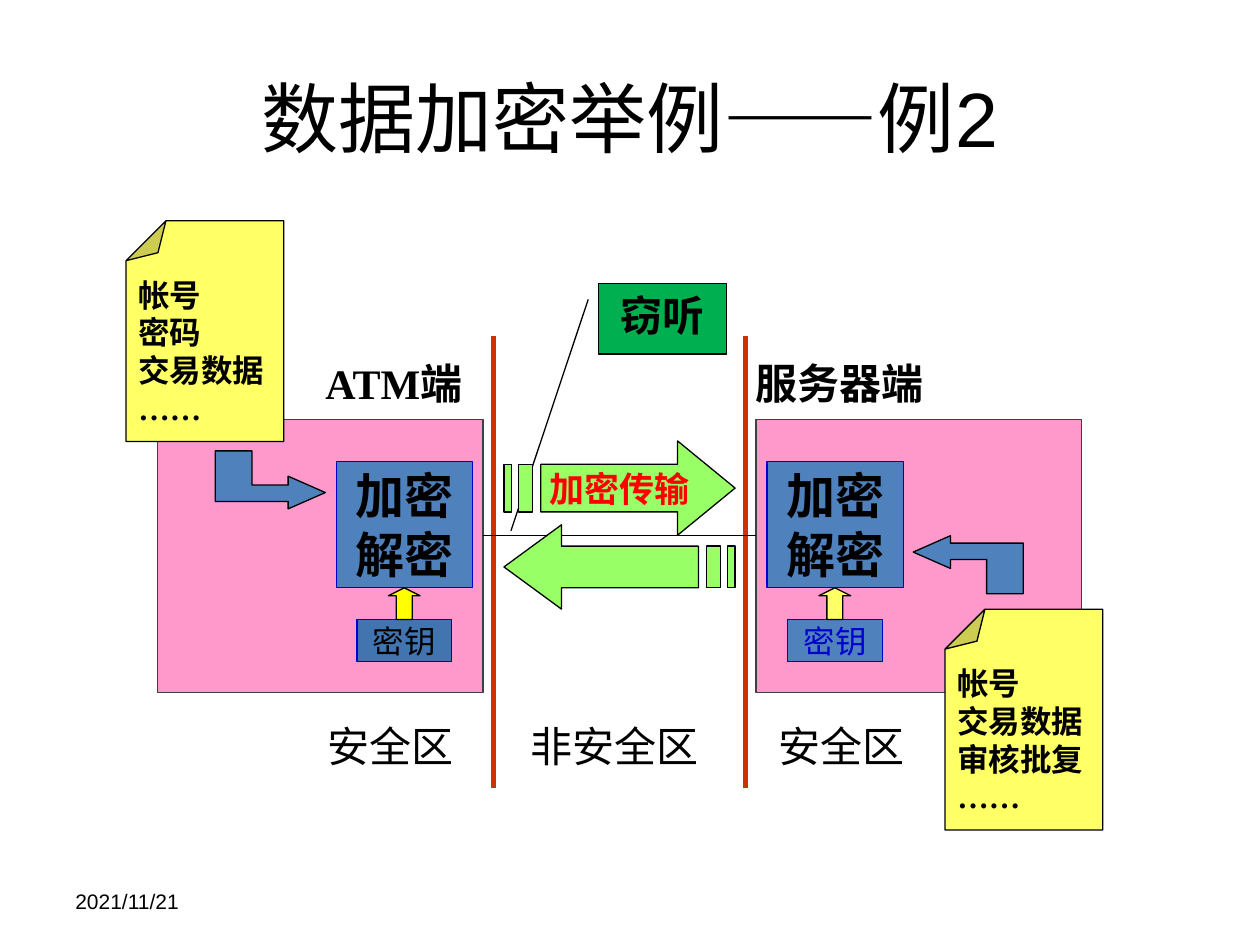
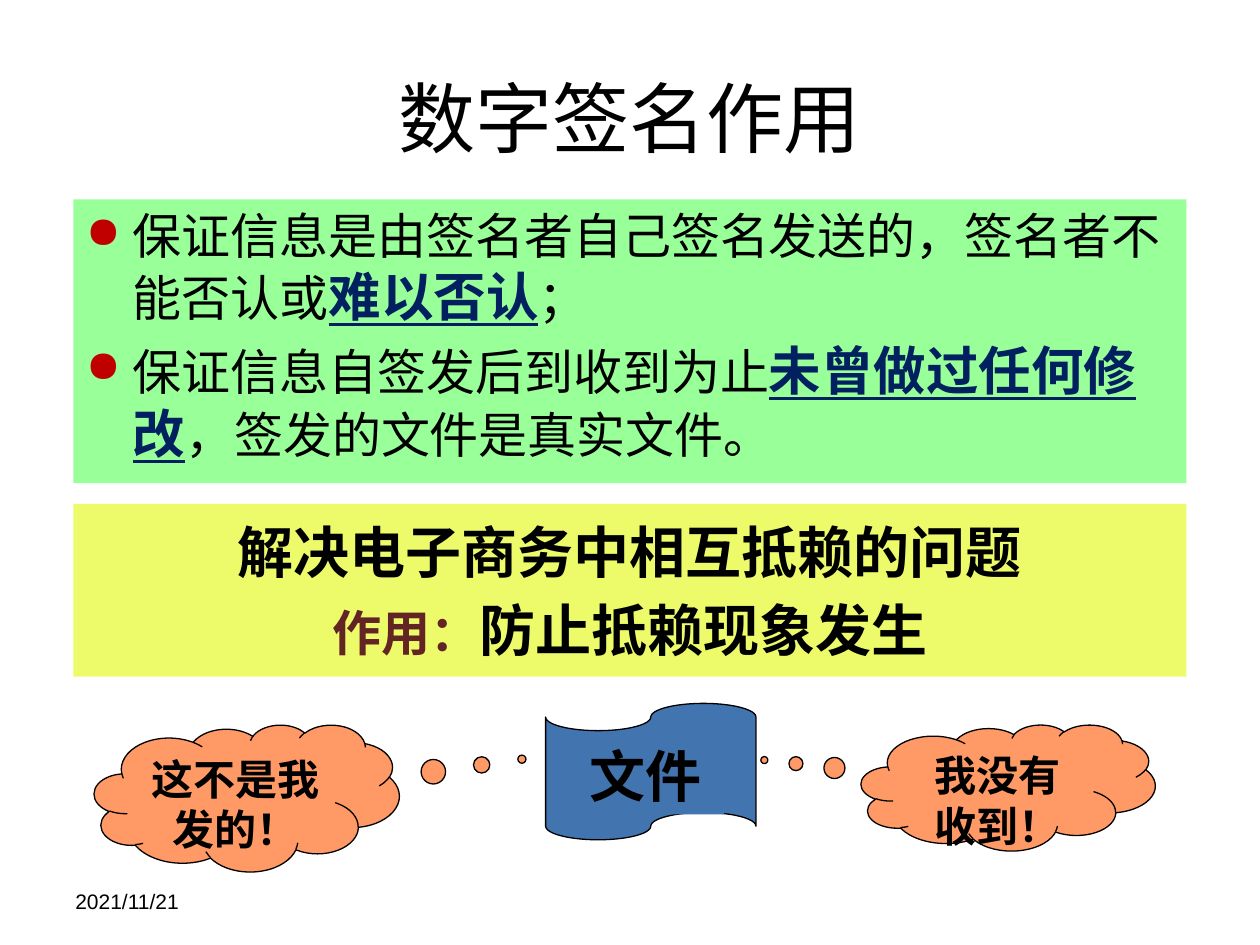
from dataclasses import dataclass
from typing import Optional

import lxml.etree
import pptx
import pptx.dml.color
import pptx.enum.shapes
import pptx.enum.text
import pptx.oxml.ns
import pptx.util

Cm = pptx.util.Cm
Pt = pptx.util.Pt
Preset = pptx.enum.shapes.MSO_SHAPE
Align = pptx.enum.text.PP_ALIGN
Anchor = pptx.enum.text.MSO_ANCHOR
qn = pptx.oxml.ns.qn

BLACK, BLUE, NAVY, RED = "000000", "0000CC", "002060", "FF0000"
STEEL, DARK_STEEL = "4F81BD", "4274AF"
PINK, GREY, PAPER, LIME, ORANGE = "FF99CC", "404040", "FFFF66", "99FF66", "FF9966"
SERIF, SANS, BODY, CJK = "Times New Roman", "Arial", "Calibri", "Noto Sans CJK SC"

# Outlines in centimetres from the tail of each arrow
BENT_ARROW = [(0, 0), (0.74, 0), (0.74, 0.69), (1.47, 0.69), (1.47, 0.51),
              (2.22, 0.84), (1.47, 1.17), (1.47, 1.02), (0, 1.02)]
STRIPES = [(0, 0.15), (0.29, 0.58)]
SHAFT_START, HEAD_START, ARROW_TIP = 0.74, 3.5, 4.66


@dataclass(frozen=True)
class Area:
    left: float
    top: float
    width: float
    height: float

    def moved(self, right: float) -> "Area":
        return Area(self.left + right, self.top, self.width, self.height)


@dataclass(frozen=True)
class Span:
    text: str
    size: float
    font: str = SERIF
    color: str = BLACK
    bold: bool = False
    underline: bool = False


@dataclass(frozen=True)
class TextStyle:
    align: Align = Align.LEFT
    anchor: Anchor = Anchor.TOP
    wrap: bool = True
    inset: bool = True
    space_before: float = 0
    bullet: Optional[str] = None


CENTERED = TextStyle(Align.CENTER, Anchor.MIDDLE, wrap=False)
TOP_CENTERED = TextStyle(Align.CENTER)
LABEL = TextStyle(inset=False)


@dataclass(frozen=True)
class Side:
    """One end of the encrypted channel."""
    zone_shift: float
    shift: float
    key_fill: str
    key_color: str
    arrow_fill: str
    label: str
    label_area: Area


SIDES = [
    Side(0, 0, DARK_STEEL, BLACK, "FFFF00", "ATM端", Area(6.56, 7.2, 3.18, 1.02)),
    Side(12.06, 8.68, STEEL, BLUE, PAPER, "服务器端", Area(15.24, 7.2, 3.6, 1.02)),
]


def rgb(value: str) -> pptx.dml.color.RGBColor:
    return pptx.dml.color.RGBColor.from_string(value)


def add_bullet(para, color: str) -> None:
    properties = para._p.get_or_add_pPr()
    properties.set("marL", str(Cm(0.95)))
    properties.set("indent", str(-Cm(0.95)))
    holder = lxml.etree.SubElement(properties, qn("a:buClr"))
    lxml.etree.SubElement(holder, qn("a:srgbClr"), val=color)
    lxml.etree.SubElement(properties, qn("a:buSzPct"), val="90000")
    lxml.etree.SubElement(properties, qn("a:buChar"), char="●")


def write(shape, paragraphs: list[list[Span]], style: TextStyle) -> None:
    frame = shape.text_frame
    frame.word_wrap = style.wrap
    frame.vertical_anchor = style.anchor
    if not style.inset:
        frame.margin_left = frame.margin_right = 0
        frame.margin_top = frame.margin_bottom = 0
    for index, spans in enumerate(paragraphs):
        para = frame.add_paragraph() if index else frame.paragraphs[0]
        if style.bullet:
            add_bullet(para, style.bullet)
        para.alignment = style.align
        if index and style.space_before:
            para.space_before = Pt(style.space_before)
        for span in spans:
            run = para.add_run()
            run.text = span.text
            run.font.size = Pt(span.size)
            run.font.name = span.font
            run.font.bold = span.bold
            run.font.underline = span.underline
            run.font.color.rgb = rgb(span.color)


def paint(shape, fill: str, line: Optional[str]) -> None:
    shape.shadow.inherit = False
    shape.fill.solid()
    shape.fill.fore_color.rgb = rgb(fill)
    if line:
        shape.line.color.rgb = rgb(line)
        shape.line.width = Pt(0.75)
    else:
        shape.line.fill.background()


def adjust(shape, values: tuple) -> None:
    """Write the guides directly, as python-pptx knows none for some presets."""
    guides = shape._element.spPr.find(qn("a:prstGeom")).find(qn("a:avLst"))
    for guide in list(guides):
        guides.remove(guide)
    for number, value in enumerate(values, start=1):
        name = f"adj{number}" if len(values) > 1 else "adj"
        lxml.etree.SubElement(guides, qn("a:gd"), name=name,
                              fmla=f"val {round(value * 100000)}")


def add_shape(page, preset: Preset, area: Area, fill: str,
              line: Optional[str] = BLACK, adjustments: tuple = ()):
    shape = page.shapes.add_shape(preset, Cm(area.left), Cm(area.top),
                                  Cm(area.width), Cm(area.height))
    paint(shape, fill, line)
    if adjustments:
        adjust(shape, adjustments)
    return shape


def add_text(page, area: Area, span: Span, style: TextStyle) -> None:
    box = page.shapes.add_textbox(Cm(area.left), Cm(area.top),
                                  Cm(area.width), Cm(area.height))
    write(box, [[span]], style)


def add_line(page, start: tuple, end: tuple, color: str, width: float) -> None:
    line = page.shapes.add_connector(pptx.enum.shapes.MSO_CONNECTOR.STRAIGHT,
                                     Cm(start[0]), Cm(start[1]), Cm(end[0]), Cm(end[1]))
    line.line.color.rgb = rgb(color)
    line.line.width = Pt(width)
    lxml.etree.SubElement(line._element.spPr, qn("a:effectLst"))


def add_outline(page, origin: tuple, direction: int, contours: list, fill: str):
    """Draw closed contours from origin; direction -1 turns them half round."""
    placed = [[(Cm(origin[0] + direction * x), Cm(origin[1] + direction * y))
               for x, y in contour] for contour in contours]
    builder = page.shapes.build_freeform(*placed[0][0], scale=1.0)
    for index, contour in enumerate(placed):
        if index:
            builder.move_to(*contour[0])
        builder.add_line_segments(contour[1:], close=True)
    shape = builder.convert_to_shape()
    paint(shape, fill, BLACK)
    return shape


def add_striped_arrow(page, tail: tuple, direction: int, head: float, shaft: float):
    arrow = [(HEAD_START, -head), (HEAD_START, -shaft), (SHAFT_START, -shaft),
             (SHAFT_START, shaft), (HEAD_START, shaft), (HEAD_START, head),
             (ARROW_TIP, 0)]
    stripes = [[(start, -shaft), (start, shaft), (end, shaft), (end, -shaft)]
               for start, end in STRIPES]
    return add_outline(page, tail, direction, [arrow, *stripes], LIME)


def add_note(page, left: float, top: float, lines: list[str]) -> None:
    """Draw a sheet with its top left corner folded and upright text."""
    note = add_shape(page, Preset.FOLDED_CORNER, Area(left, top, 3.18, 4.45),
                     PAPER, adjustments=(0.253,))
    note.rotation = 180
    write(note, [[Span(line, 18, bold=True)] for line in lines],
          TextStyle(anchor=Anchor.MIDDLE, wrap=False))
    note.text_frame._txBody.bodyPr.set("rot", "10800000")


def add_page(deck, title: str):
    page = deck.slides.add_slide(deck.slide_layouts[6])
    add_text(page, Area(1.27, 17.65, 5.92, 1.02), Span("2021/11/21", 12, SANS),
             TextStyle(anchor=Anchor.MIDDLE))
    add_text(page, Area(1.27, 0.76, 22.86, 3.18), Span(title, 44, SANS),
             TextStyle(Align.CENTER, Anchor.MIDDLE))
    return page


def add_side(page, side: Side) -> None:
    add_shape(page, Preset.RECTANGLE, Area(3.18, 8.46, 6.56, 5.5).moved(side.zone_shift),
              PINK, GREY)
    cipher = add_shape(page, Preset.RECTANGLE,
                       Area(6.78, 9.31, 2.75, 2.54).moved(side.shift), STEEL, BLUE)
    write(cipher, [[Span(word, 28, bold=True)] for word in ("加密", "解密")], CENTERED)
    key = add_shape(page, Preset.RECTANGLE,
                    Area(7.2, 12.49, 1.91, 0.85).moved(side.shift), side.key_fill, BLUE)
    write(key, [[Span("密钥", 18, color=side.key_color)]], CENTERED)
    add_shape(page, Preset.UP_ARROW, Area(7.83, 11.85, 0.64, 0.64).moved(side.shift),
              side.arrow_fill, adjustments=(0.5, 0.25))
    add_text(page, side.label_area, Span(side.label, 24, bold=True), LABEL)


def build_encryption_page(deck) -> None:
    page = add_page(deck, "数据加密举例——例2")
    for side in SIDES:
        add_side(page, side)
    for border in (9.95, 15.03):
        add_line(page, (border, 6.77), (border, 15.88), "CC3300", 3)
    for left, width, name, style in ((6.35, 3.18, "安全区", TextStyle()),
                                     (10.16, 4.45, "非安全区", TOP_CENTERED),
                                     (15.45, 3.39, "安全区", TextStyle())):
        add_text(page, Area(left, 14.39, width, 1.27), Span(name, 24), style)
    add_line(page, (9.74, 10.8), (15.24, 10.8), BLACK, 0.75)
    tap = add_shape(page, Preset.LINE_CALLOUT_1, Area(12.07, 5.72, 2.58, 1.42), "00B050",
                    adjustments=(0.223, -0.082, 3.508, -0.686))
    write(tap, [[Span("窃听", 24, bold=True)]], TOP_CENTERED)

    add_note(page, 2.54, 4.45, ["帐号", "密码", "交易数据", "……"])
    sending = add_striped_arrow(page, (10.16, 9.84), 1, 0.95, 0.48)
    write(sending, [[Span("加密传输", 20, color=RED, bold=True)]], CENTERED)
    add_outline(page, (4.34, 9.09), 1, [BENT_ARROW], STEEL)
    add_note(page, 19.05, 12.28, ["帐号", "交易数据", "审核批复", "……"])
    add_striped_arrow(page, (14.82, 11.43), -1, 0.85, 0.42)
    add_outline(page, (20.63, 11.97), -1, [BENT_ARROW], STEEL)


def build_signature_page(deck) -> None:
    page = add_page(deck, "数字签名作用")

    def plain(text: str) -> Span:
        return Span(text, 28, BODY)

    def strong(text: str) -> Span:
        return Span(text, 30, CJK, NAVY, bold=True, underline=True)

    points = add_shape(page, Preset.RECTANGLE, Area(1.48, 4.02, 22.44, 5.72), "99FF99", None)
    write(points, [
        [plain("保证信息是由签名者自己签名发送的，签名者不能否认或"),
         strong("难以否认"), plain("；")],
        [plain("保证信息自签发后到收到为止"),
         strong("未曾做过任何修改"), plain("，签发的文件是真实文件。")],
    ], TextStyle(space_before=6, bullet="C00000"))

    purpose = add_shape(page, Preset.RECTANGLE, Area(1.48, 10.16, 22.44, 3.48), "EDFB6B", None)
    write(purpose, [
        [Span("解决电子商务中相互抵赖的问题", 32, bold=True)],
        [Span("作用：", 28, BODY, "632523", bold=True),
         Span("防止抵赖现象发生", 32, bold=True)],
    ], TextStyle(Align.CENTER, Anchor.MIDDLE, wrap=False, space_before=6.5))

    add_shape(page, Preset.FLOWCHART_PUNCHED_TAPE, Area(11, 14.18, 4.24, 2.75), DARK_STEEL)
    for area, tail, denial in (
            (Area(1.9, 14.61, 6.15, 2.96), (0.902, -0.265), "这不是我发的！"),
            (Area(17.36, 14.61, 5.93, 2.54), (-0.829, -0.219), "我没有收到！")):
        cloud = add_shape(page, Preset.CLOUD_CALLOUT, area, ORANGE, adjustments=tail)
        write(cloud, [[Span(denial, 24, bold=True)]], TOP_CENTERED)
    document = add_shape(page, Preset.RECTANGLE, Area(11.64, 14.82, 2.96, 1.6),
                         DARK_STEEL, None)
    write(document, [[Span("文件", 32, bold=True)]], TextStyle())


def main() -> None:
    deck = pptx.Presentation()
    deck.slide_width, deck.slide_height = Cm(25.4), Cm(19.05)
    build_encryption_page(deck)
    build_signature_page(deck)
    deck.save("out.pptx")


if __name__ == "__main__":
    main()
